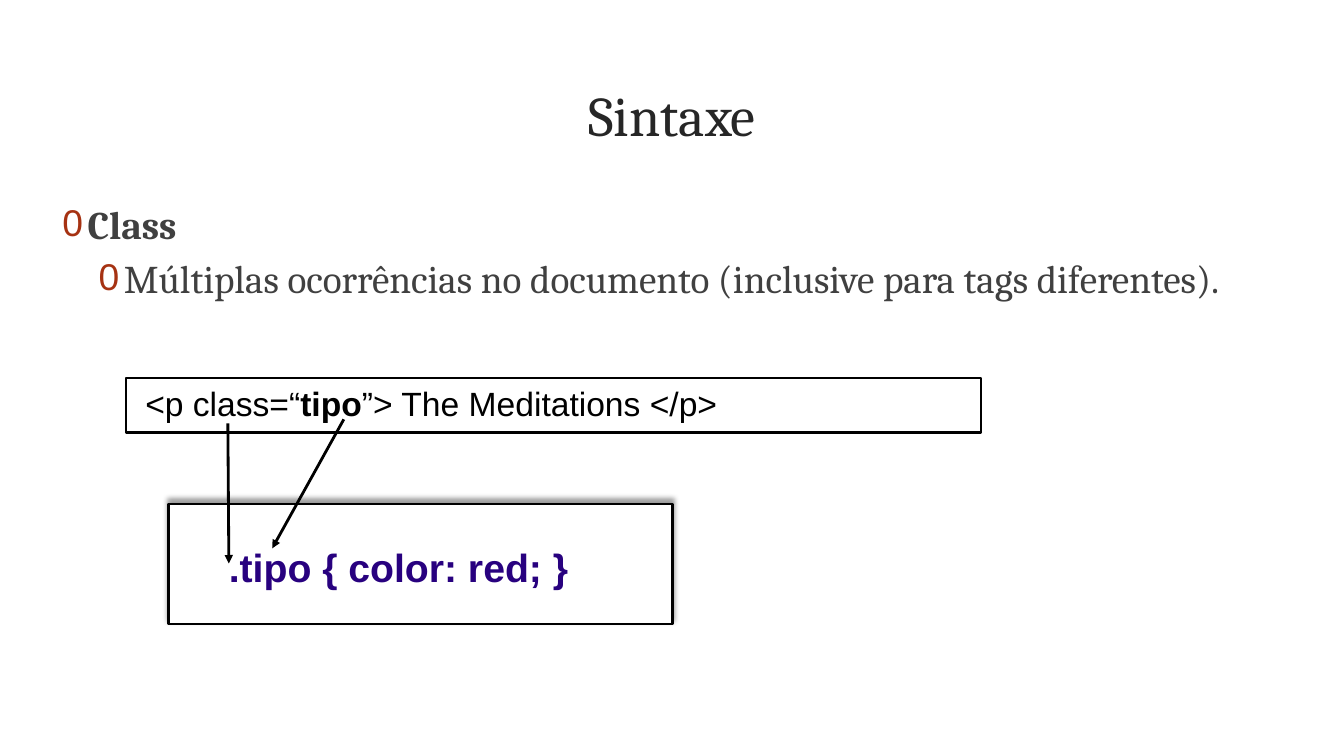
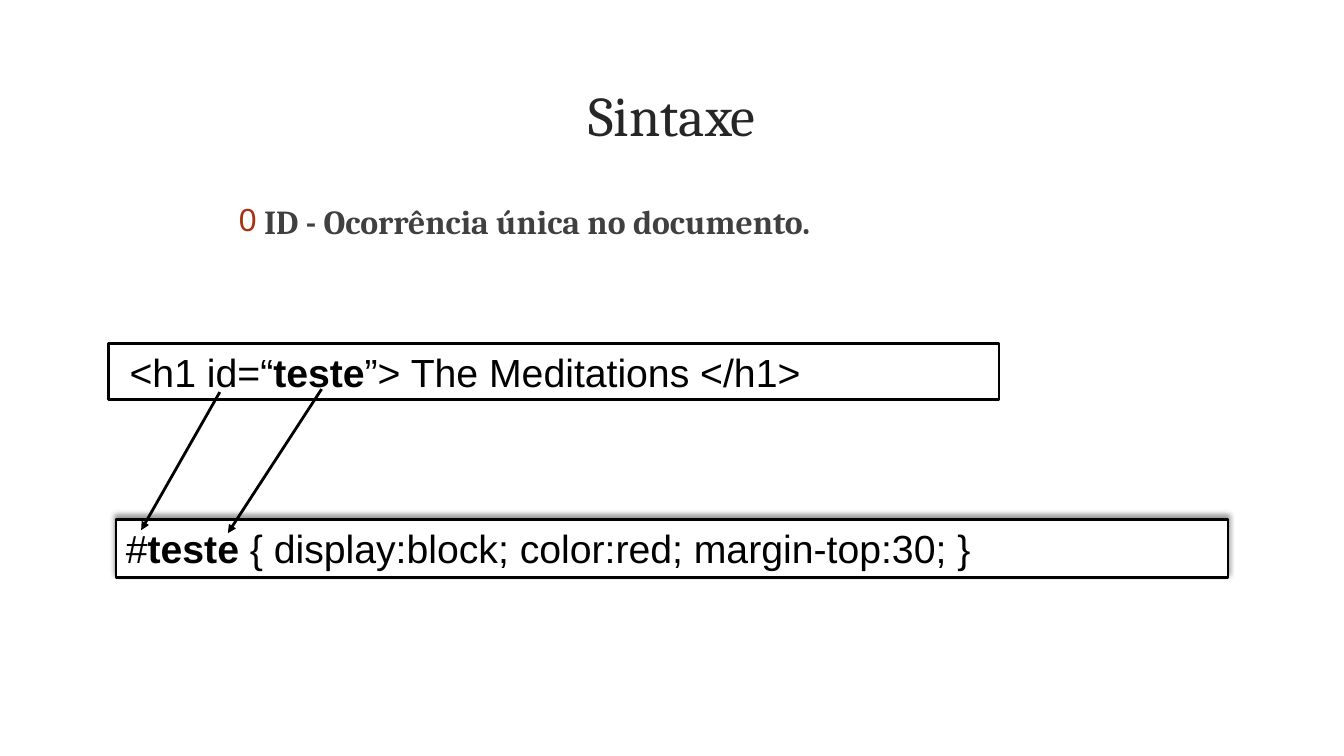
from dataclasses import dataclass

import pptx
import pptx.dml.color
import pptx.enum.shapes
import pptx.enum.text
import pptx.oxml
import pptx.oxml.ns
import pptx.util
from pptx.util import Inches

RGBColor = pptx.dml.color.RGBColor
BLACK = RGBColor(0x00, 0x00, 0x00)
WHITE = RGBColor(0xFF, 0xFF, 0xFF)
TITLE_COLOR = RGBColor(0x26, 0x26, 0x26)
BODY_COLOR = RGBColor(0x40, 0x40, 0x40)
BULLET_COLOR = RGBColor(0xA6, 0x32, 0x12)
RULE_COLOR = RGBColor(0x28, 0x01, 0x7F)

TEXT_FONT = "Cambria"
CODE_FONT = "Arial"
LINE_WIDTH = 2
HANGING = 0.25
LEVEL_INDENT = 0.36


@dataclass(frozen=True)
class Box:
    left: float
    top: float
    width: float
    height: float


@dataclass(frozen=True)
class Bullet:
    text: str
    size: int
    level: int = 0
    bold: bool = False


@dataclass(frozen=True)
class CodeBox:
    """A framed line of code; every second segment is bold."""
    box: Box
    segments: tuple[str, ...]
    size: int
    color: RGBColor = BLACK
    shadow: bool = False
    left_inset: float = 0.1
    top_inset: float = 0.05


@dataclass(frozen=True)
class Arrow:
    start: tuple[float, float]
    end: tuple[float, float]


@dataclass(frozen=True)
class SyntaxSlide:
    body: Box
    bullets: tuple[Bullet, ...]
    code_boxes: tuple[CodeBox, ...]
    arrows: tuple[Arrow, ...]


TITLE = "Sintaxe"
TITLE_BOX = Box(2.27, 0.48, 8.79, 1.3)

SLIDES = (
    SyntaxSlide(
        body=Box(0.52, 1.94, 12.33, 4.61),
        bullets=(
            Bullet("Class", 28, bold=True),
            Bullet("Múltiplas ocorrências no documento (inclusive para tags diferentes).", 28, level=1),
        ),
        code_boxes=(
            CodeBox(Box(1.67, 5, 5, 1.19), ("", ".tipo { color: red; }"), 28, RULE_COLOR,
                    shadow=True, left_inset=0.6, top_inset=0.39),
            CodeBox(Box(1.25, 3.75, 8.48, 0.54), (" <p class=“", "tipo", "”> The Meditations </p>"), 24),
        ),
        arrows=(Arrow((3.41, 4.16), (2.7, 5.44)), Arrow((2.26, 4.2), (2.27, 5.59))),
    ),
    SyntaxSlide(
        body=Box(2.27, 1.94, 8.79, 4.61),
        bullets=(Bullet("ID - Ocorrência única no documento.", 24, bold=True),),
        code_boxes=(
            CodeBox(Box(1.15, 5.15, 11.03, 0.58),
                    ("#", "teste", " { display:block; color:red; margin-top:30; }"), 28, shadow=True),
            CodeBox(Box(1.08, 3.41, 8.83, 0.55), (" <h1 id=“", "teste", "”> The Meditations </h1>"), 28),
        ),
        arrows=(Arrow((3.19, 3.86), (2.26, 5.29)), Arrow((2.18, 3.89), (1.4, 5.26))),
    ),
)


def inches(box: Box) -> tuple[int, ...]:
    return tuple(Inches(length) for length in (box.left, box.top, box.width, box.height))


def append_xml(parent, tag: str, **attributes: str):
    child = pptx.oxml.parse_xml(f"<a:{tag} {pptx.oxml.ns.nsdecls('a')}/>")
    for name, value in attributes.items():
        child.set(name, value)
    parent.append(child)
    return child


def format_run(run, font: str, size: int, color: RGBColor, bold: bool = False) -> None:
    run.font.name = font
    run.font.size = pptx.util.Pt(size)
    run.font.color.rgb = color
    run.font.bold = bold


def add_text_frame(slide, box: Box):
    text_frame = slide.shapes.add_textbox(*inches(box)).text_frame
    text_frame.word_wrap = True
    return text_frame


def add_title(slide) -> None:
    text_frame = add_text_frame(slide, TITLE_BOX)
    text_frame.vertical_anchor = pptx.enum.text.MSO_ANCHOR.MIDDLE
    text_frame.text = TITLE
    paragraph = text_frame.paragraphs[0]
    paragraph.alignment = pptx.enum.text.PP_ALIGN.CENTER
    format_run(paragraph.runs[0], TEXT_FONT, 40, TITLE_COLOR)


def add_bullets(slide, box: Box, bullets: tuple[Bullet, ...]) -> None:
    text_frame = add_text_frame(slide, box)
    text_frame.text = "\n".join(bullet.text for bullet in bullets)
    for paragraph, bullet in zip(text_frame.paragraphs, bullets):
        paragraph.level = bullet.level
        paragraph.space_before = pptx.util.Pt(4.8)
        format_run(paragraph.runs[0], TEXT_FONT, bullet.size, BODY_COLOR, bullet.bold)
        properties = paragraph._p.get_or_add_pPr()
        properties.set("marL", str(Inches(HANGING + LEVEL_INDENT * bullet.level)))
        properties.set("indent", str(Inches(-HANGING)))
        append_xml(append_xml(properties, "buClr"), "srgbClr", val=str(BULLET_COLOR))
        append_xml(properties, "buSzPct", val="95000")
        append_xml(properties, "buFont", typeface=CODE_FONT)
        append_xml(properties, "buChar", char="0")


def add_top_shadow(shape) -> None:
    effects = shape._element.spPr.find(pptx.oxml.ns.qn("a:effectLst"))
    shadow = append_xml(effects, "outerShdw", blurRad=str(pptx.util.Pt(4)), dist=str(pptx.util.Pt(3)),
                        dir=str(270 * 60000), rotWithShape="0")
    append_xml(append_xml(shadow, "srgbClr", val=str(BLACK)), "alpha", val="40000")


def add_code_box(slide, code: CodeBox) -> None:
    shape = slide.shapes.add_shape(pptx.enum.shapes.MSO_SHAPE.RECTANGLE, *inches(code.box))
    shape.fill.solid()
    shape.fill.fore_color.rgb = WHITE
    shape.line.color.rgb = BLACK
    shape.line.width = pptx.util.Pt(LINE_WIDTH)
    shape.shadow.inherit = False
    if code.shadow:
        add_top_shadow(shape)
    text_frame = shape.text_frame
    text_frame.word_wrap = True
    text_frame.vertical_anchor = pptx.enum.text.MSO_ANCHOR.TOP
    text_frame.margin_left = Inches(code.left_inset)
    text_frame.margin_top = Inches(code.top_inset)
    paragraph = text_frame.paragraphs[0]
    paragraph.alignment = pptx.enum.text.PP_ALIGN.LEFT
    paragraph.space_before = pptx.util.Pt(3.6)
    for index, segment in enumerate(code.segments):
        if segment:
            run = paragraph.add_run()
            run.text = segment
            format_run(run, CODE_FONT, code.size, code.color, bold=index % 2 == 1)


def add_arrow(slide, arrow: Arrow) -> None:
    points = [Inches(length) for length in arrow.start + arrow.end]
    connector = slide.shapes.add_connector(pptx.enum.shapes.MSO_CONNECTOR.STRAIGHT, *points)
    connector.line.color.rgb = BLACK
    connector.line.width = pptx.util.Pt(LINE_WIDTH)
    append_xml(connector.line._get_or_add_ln(), "tailEnd", type="triangle")
    append_xml(connector._element.spPr, "effectLst")


def add_syntax_slide(presentation, content: SyntaxSlide) -> None:
    slide = presentation.slides.add_slide(presentation.slide_layouts[6])
    add_title(slide)
    add_bullets(slide, content.body, content.bullets)
    for code in content.code_boxes:
        add_code_box(slide, code)
    for arrow in content.arrows:
        add_arrow(slide, arrow)


def main() -> None:
    presentation = pptx.Presentation()
    presentation.slide_width = Inches(13.33)
    presentation.slide_height = Inches(7.5)
    for content in SLIDES:
        add_syntax_slide(presentation, content)
    presentation.save("out.pptx")


if __name__ == "__main__":
    main()
